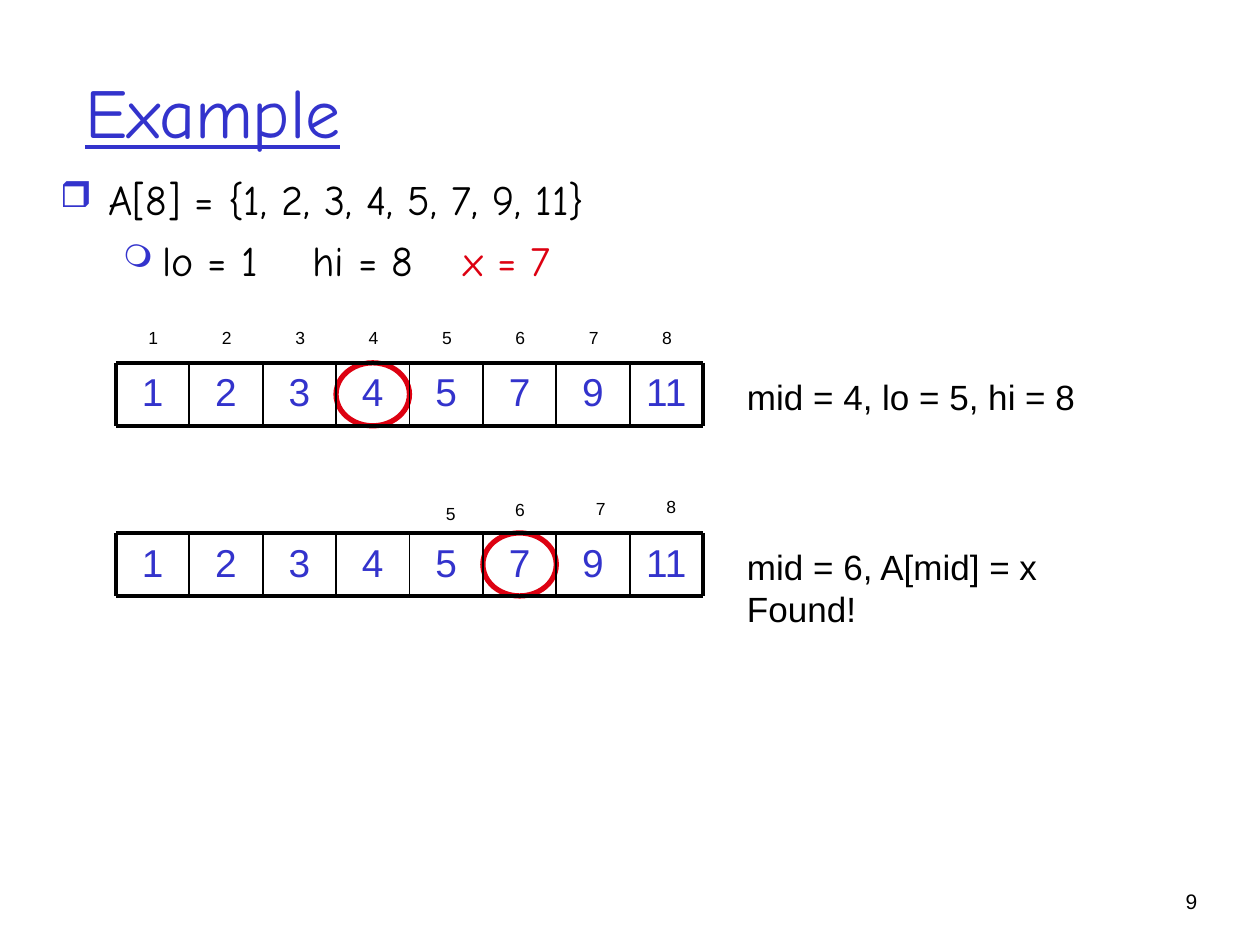
from lxml import etree
from pptx import Presentation
from pptx.dml.color import RGBColor
from pptx.enum.shapes import MSO_CONNECTOR, MSO_SHAPE
from pptx.enum.text import MSO_ANCHOR, PP_ALIGN
from pptx.oxml.ns import qn
from pptx.util import Inches, Pt

STRAIGHT = MSO_CONNECTOR.STRAIGHT
OVAL = MSO_SHAPE.OVAL
TOP, MIDDLE = MSO_ANCHOR.TOP, MSO_ANCHOR.MIDDLE
LEFT, CENTER, RIGHT = PP_ALIGN.LEFT, PP_ALIGN.CENTER, PP_ALIGN.RIGHT
BLUE, BLACK, RED = "3333CC", "000000", "DD0111"


def rgb(code):
    return RGBColor.from_string(code)


def add_text(words, left, top, width, height, size, color=BLACK,
             font="Arial", align=LEFT, anchor=TOP):
    frame = slide.shapes.add_textbox(left, top, width, height).text_frame
    frame.word_wrap = True
    frame.vertical_anchor = anchor
    frame.text = words
    for paragraph in frame.paragraphs:
        paragraph.alignment = align
        paragraph.font.size = Pt(size)
        paragraph.font.name = font
        paragraph.font.color.rgb = rgb(color)
    return frame


prs = Presentation()
prs.slide_width, prs.slide_height = Inches(10), Inches(7.5)
slide = prs.slides.add_slide(prs.slide_layouts[6])

add_text("9", Inches(8.8), Inches(7), Inches(0.8), Inches(0.32), 12, align=RIGHT)
title = add_text("Example", Inches(0.58), Inches(0.25), Inches(8.5), Inches(1.25),
                 40, BLUE, "Comic Neue", anchor=MIDDLE)
title.paragraphs[0].font.underline = True

given = slide.shapes.add_textbox(Inches(0.38), Inches(1.33), Inches(9.03), Inches(1.51)).text_frame
given.word_wrap = True
given.text = "A[8] = {1, 2, 3, 4, 5, 7, 9, 11}\nlo = 1\thi = 8\t"
array_line, bounds_line = given.paragraphs
target = bounds_line.add_run()
target.text = "x = 7"
target.font.color.rgb = rgb(RED)
bounds_line.level = 1
bounds_line.space_before = Pt(6)
for line, mark, percent, margin, hanging in [
    (array_line, "❒", 85, 0.38, 0.38),
    (bounds_line, "❍", 75, 0.81, 0.31),
]:
    props = line._p.get_or_add_pPr()
    props.set("marL", str(Inches(margin)))
    props.set("indent", str(-Inches(hanging)))
    bullet_color = etree.SubElement(props, qn("a:buClr"))
    etree.SubElement(bullet_color, qn("a:srgbClr"), val=BLUE)
    etree.SubElement(props, qn("a:buSzPct"), val=str(percent * 1000))
    etree.SubElement(props, qn("a:buChar"), char=mark)
    tabs = etree.SubElement(props, qn("a:tabLst"))
    for stop in (2, 3.2):
        etree.SubElement(tabs, qn("a:tab"), pos=str(Inches(stop)), algn="l")
    line.font.size = Pt(24)
    line.font.name = "Comic Neue"
    line.font.color.rgb = rgb(BLACK)

values = [1, 2, 3, 4, 5, 7, 9, 11]
array_left, array_right, cell_height = Inches(0.92), Inches(5.58), Inches(0.5)
cell_width = (array_right - array_left) // len(values)
edges = [array_left + i * cell_width for i in range(len(values))] + [array_right]

first_labels = [(i + 1, edge + Inches(0.16), Inches(2.55))
                for i, edge in enumerate(edges[:-1])]
second_labels = [(5, Inches(3.44), Inches(3.94)), (6, Inches(3.99), Inches(3.91)),
                 (7, Inches(4.63), Inches(3.9)), (8, Inches(5.19), Inches(3.89))]

for top, mid, result, result_height, labels in [
    (Inches(2.88), 4, "mid = 4, lo = 5, hi = 8", Inches(0.44), first_labels),
    (Inches(4.23), 6, "mid = 6, A[mid] = x\vFound!", Inches(0.77), second_labels),
]:
    probe = slide.shapes.add_shape(OVAL, edges[mid - 1], top, cell_width, cell_height)
    probe.shadow.inherit = False
    probe.fill.background()
    probe.line.color.rgb = rgb(RED)
    probe.line.width = Pt(3)

    add_text(result, Inches(5.83), top + Inches(0.05), Inches(3.42), result_height, 20)
    for value, left in zip(values, edges):
        cell = add_text(str(value), left, top, cell_width, cell_height,
                        22.2, BLUE, align=CENTER, anchor=MIDDLE)
        cell.paragraphs[0].line_spacing = 0.9

    bottom = top + cell_height
    rules = [(array_left, y, array_right, y, 2.25) for y in (top, bottom)]
    rules += [(x, top, x, bottom, 2.25 if x in (array_left, array_right) else 1)
              for x in edges]
    for x1, y1, x2, y2, weight in rules:
        rule = slide.shapes.add_connector(STRAIGHT, x1, y1, x2, y2)
        rule.line.color.rgb = rgb(BLACK)
        rule.line.width = Pt(weight)
        etree.SubElement(rule._element.spPr, qn("a:effectLst"))

    for index, left, label_top in labels:
        add_text(str(index), left, label_top, Inches(0.25), Inches(0.27), 10)

prs.save("out.pptx")
